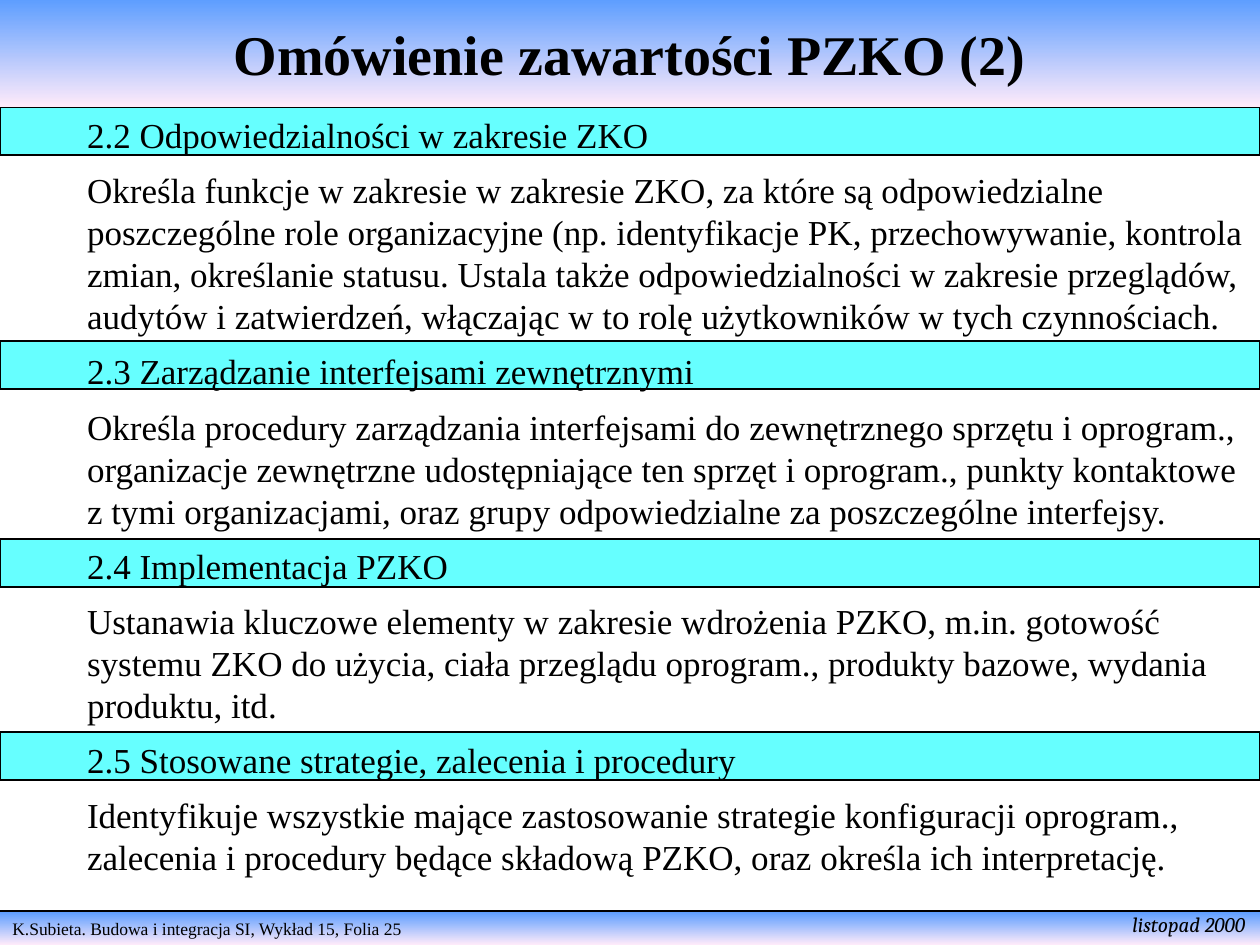
"""Build the slide on the contents of the PZKO plan, part 2."""
from pptx import Presentation
from pptx.dml.color import RGBColor
from pptx.enum.shapes import MSO_CONNECTOR as CONN, MSO_SHAPE as SHAPE
from pptx.enum.text import MSO_ANCHOR as ANCHOR, MSO_AUTO_SIZE as FIT, PP_ALIGN as ALIGN
from pptx.oxml.ns import qn
from pptx.util import Cm, Pt

WIDTH, HEIGHT = 25.4, 19.05
HEADER = 2.16
BAND_TOPS = [HEADER, 6.88, 10.87, 14.76]
SECTIONS = [
    ("2.2 Odpowiedzialności w zakresie ZKO",
     "Określa funkcje w zakresie w zakresie ZKO, za które są odpowiedzialne poszczególne role "
     "organizacyjne (np. identyfikacje PK, przechowywanie, kontrola zmian, określanie statusu. "
     "Ustala także odpowiedzialności w zakresie przeglądów, audytów i zatwierdzeń, włączając w "
     "to rolę użytkowników w tych czynnościach."),
    ("2.3 Zarządzanie interfejsami zewnętrznymi",
     "Określa procedury zarządzania interfejsami do zewnętrznego sprzętu i oprogram., "
     "organizacje zewnętrzne udostępniające ten sprzęt i oprogram., punkty kontaktowe z tymi "
     "organizacjami, oraz grupy odpowiedzialne za poszczególne interfejsy."),
    ("2.4 Implementacja PZKO",
     "Ustanawia kluczowe elementy w zakresie wdrożenia PZKO, m.in. gotowość systemu ZKO do "
     "użycia, ciała przeglądu oprogram., produkty bazowe, wydania produktu, itd."),
    ("2.5 Stosowane strategie, zalecenia i procedury",
     "Identyfikuje wszystkie mające zastosowanie strategie konfiguracji oprogram., zalecenia i "
     "procedury będące składową PZKO, oraz określa ich interpretację."),
]


def rgb(color):
    return RGBColor.from_string(color)


class Deck:
    font, ink, band_fill = "Times New Roman", "000000", "66FFFF"
    gradient = ("5E9EFF", "FFEBFA")

    def __init__(self):
        self.prs = Presentation()
        self.prs.slide_width, self.prs.slide_height = Cm(WIDTH), Cm(HEIGHT)
        self.s = self.prs.slides.add_slide(self.prs.slide_layouts[1])

    def run(self, p, text, size, font=None, bold=False, italic=False):
        r = p.add_run()
        r.text = text
        r.font.name, r.font.size = font or self.font, Pt(size)
        r.font.bold, r.font.italic = bold, italic
        r.font.color.rgb = rgb(self.ink)

    def fade(self, sp):
        sp.fill.gradient()
        sp.fill.gradient_angle = 270
        for stop, color in zip(sp.fill.gradient_stops, self.gradient):
            stop.color.rgb = rgb(color)

    def place(self, sp, x, y, w, h):
        sp.left, sp.top, sp.width, sp.height = Cm(x), Cm(y), Cm(w), Cm(h)
        sp.element.getparent().append(sp.element)

    def rect(self, x, y, w, h):
        sp = self.s.shapes.add_shape(SHAPE.RECTANGLE, Cm(x), Cm(y), Cm(w), Cm(h))
        sp.shadow.inherit = False
        return sp

    def band(self, y):
        sp = self.rect(0, y, WIDTH, 0.97)
        sp.fill.solid()
        sp.fill.fore_color.rgb = rgb(self.band_fill)
        sp.line.color.rgb, sp.line.width = rgb(self.ink), Pt(1)

    def rule(self, y):
        cn = self.s.shapes.add_connector(CONN.STRAIGHT, 0, Cm(y), Cm(WIDTH), Cm(y))
        cn.line.color.rgb, cn.line.width = rgb(self.ink), Pt(1)
        sp_pr = cn.element.spPr
        sp_pr.append(sp_pr.makeelement(qn("a:effectLst"), {}))

    def footer(self, text, y):
        sp = self.rect(0, y, WIDTH, HEIGHT - y)
        self.fade(sp)
        sp.line.fill.background()
        tf = sp.text_frame
        tf.vertical_anchor, tf.word_wrap = ANCHOR.TOP, True
        tf.paragraphs[0].alignment = ALIGN.LEFT
        self.run(tf.paragraphs[0], text, 10)

    def date(self, text, x, y, w, h):
        tf = self.s.shapes.add_textbox(Cm(x), Cm(y), Cm(w), Cm(h)).text_frame
        tf.word_wrap = False
        self.run(tf.paragraphs[0], text, 12, font="Cambria", italic=True)

    def title(self, text):
        sp = self.s.shapes.title
        self.place(sp, 0, 0, WIDTH, HEADER)
        self.fade(sp)
        tf = sp.text_frame
        tf.auto_size, tf.vertical_anchor = FIT.NONE, ANCHOR.MIDDLE
        p = tf.paragraphs[0]
        p.alignment = ALIGN.CENTER
        self.run(p, text, 32, bold=True)

    def body(self, texts, x, y, w, h):
        sp = self.s.placeholders[1]
        self.place(sp, x, y, w, h)
        tf = sp.text_frame
        tf.auto_size, tf.vertical_anchor = FIT.NONE, ANCHOR.TOP
        for i, text in enumerate(texts):
            p = tf.add_paragraph() if i else tf.paragraphs[0]
            p_pr = p._p.get_or_add_pPr()
            p_pr.set("marL", "0")
            p_pr.set("indent", "0")
            p_pr.append(p_pr.makeelement(qn("a:buNone"), {}))
            p.line_spacing, p.space_before, p.space_after = Pt(24), Pt(0), Pt(7.5)
            self.run(p, text, 20)


def main():
    deck = Deck()
    deck.footer("K.Subieta. Budowa i integracja SI, Wykład 15, Folia 25", 18.39)
    deck.rule(18.36)
    deck.date("listopad 2000", 22.58, 18.26, 2.82, 0.76)
    for y in BAND_TOPS:
        deck.band(y)
    deck.title("Omówienie zawartości PZKO (2)")
    deck.body([text for section in SECTIONS for text in section], 1.5, HEADER, 23.9, 15.67)
    deck.prs.save("out.pptx")


if __name__ == "__main__":
    main()
